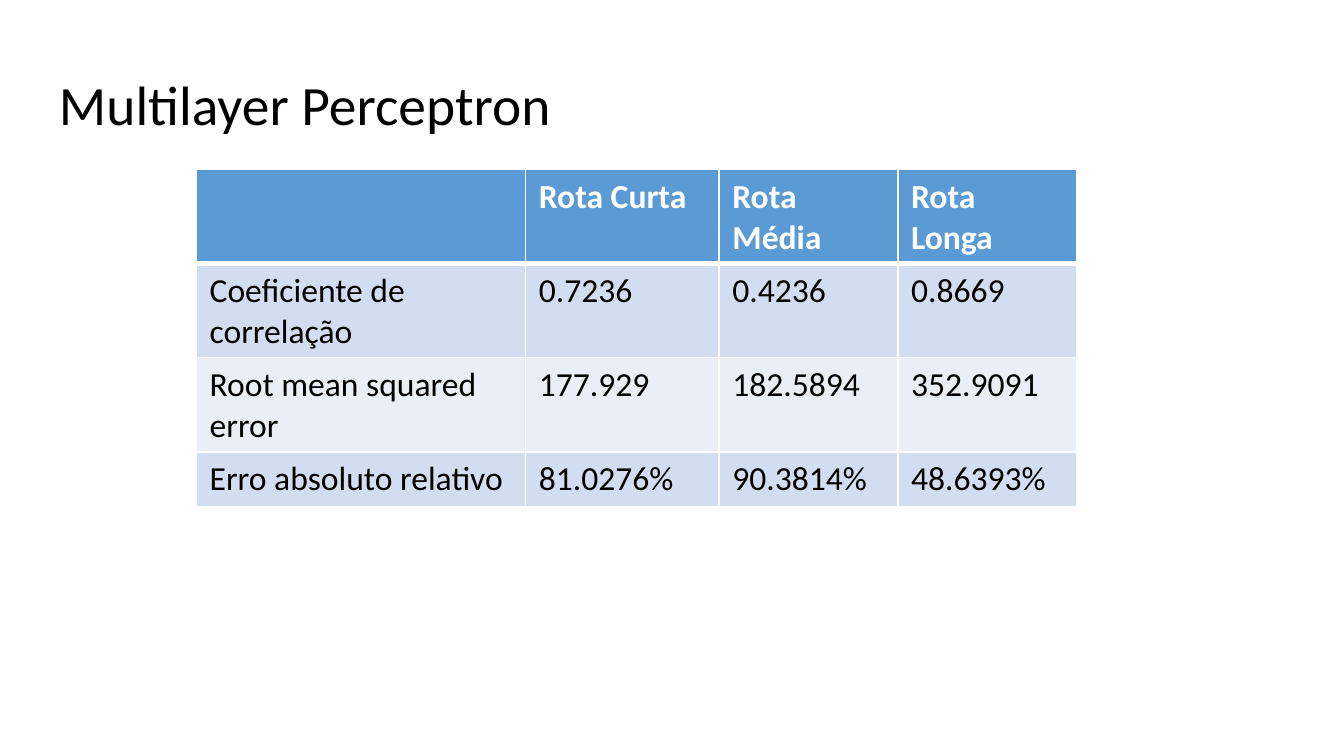
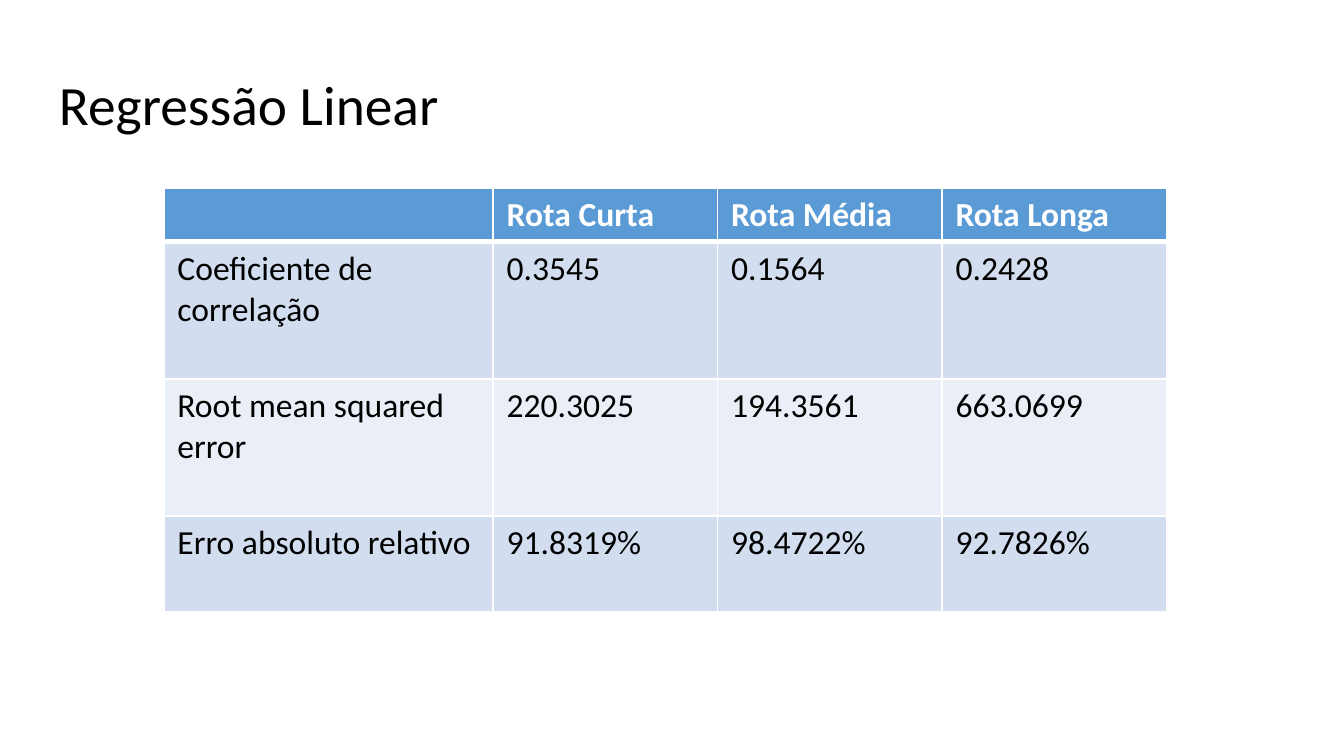
from lxml.etree import SubElement
from pptx import Presentation
from pptx.dml.color import RGBColor as RGB
from pptx.enum.text import MSO_ANCHOR as Anchor
from pptx.oxml.ns import qn
from pptx.util import Inches, Pt

COLORS = {"text": "000000", "white": "FFFFFF", "header": "5B9BD5",
          "odd": "D2DEEF", "even": "EAEFF7"}
TITLE_FONT = {"name": "Calibri", "size": Pt(29.7)}
HEAD_FONT = {"name": "Calibri", "size": Pt(18), "bold": True}
BODY_FONT = {**HEAD_FONT, "bold": False}
TITLE_BOX = (0.34, 0.49, 9.32, 0.63)

HEADERS = ["", "Rota Curta", "Rota Média", "Rota Longa"]
METRICS = ["Coeficiente de correlação", "Root mean squared error",
           "Erro absoluto relativo"]
SLIDES = [
    {"title": "Multilayer Perceptron", "origin": (1.46, 1.26),
     "cols": [2.45, 1.44, 1.33, 1.33], "rows": [0.41] * 4,
     "values": [["0.7236", "0.4236", "0.8669"],
                ["177.929", "182.5894", "352.9091"],
                ["81.0276%", "90.3814%", "48.6393%"]]},
    {"title": "Regressão Linear", "origin": (1.22, 1.4),
     "cols": [2.45, 1.67, 1.67, 1.67], "rows": [0.4, 1.02, 1.02, 0.71],
     "values": [["0.3545", "0.1564", "0.2428"],
                ["220.3025", "194.3561", "663.0699"],
                ["91.8319%", "98.4722%", "92.7826%"]]},
]


def add_run(p, text, font, color):
    r = p.add_run()
    r.text = text
    for name, value in font.items():
        setattr(r.font, name, value)
    r.font.color.rgb = RGB.from_string(COLORS[color])


def add_title(s, box, text):
    tf = s.shapes.add_textbox(*map(Inches, box)).text_frame
    style = {"word_wrap": True, "vertical_anchor": Anchor.BOTTOM}
    style.update({f"margin_{side}": Inches(0.1)
                  for side in ("left", "top", "right", "bottom")})
    for name, value in style.items():
        setattr(tf, name, value)
    p = tf.paragraphs[0]
    p.line_spacing = 0.9
    add_run(p, text, TITLE_FONT, "text")


def set_borders(cell, widths):
    tc_pr = cell._tc.get_or_add_tcPr()
    for side, width in widths.items():
        ln = SubElement(tc_pr, qn(f"a:ln{side}"), w=str(Pt(width)))
        fill = SubElement(ln, qn("a:solidFill"))
        SubElement(fill, qn("a:srgbClr"), val=COLORS["white"])


def add_results(s, origin, cols, rows, values):
    box = (*origin, sum(cols), sum(rows))
    table = s.shapes.add_table(len(rows), len(cols), *map(Inches, box)).table
    for column, width in zip(table.columns, cols):
        column.width = Inches(width)
    for row, height in zip(table.rows, rows):
        row.height = Inches(height)

    content = [HEADERS] + [[m, *v] for m, v in zip(METRICS, values)]
    for i, texts in enumerate(content):
        fill = "header" if i == 0 else "odd" if i % 2 else "even"
        font, color = (BODY_FONT, "text") if i else (HEAD_FONT, "white")
        # The rule under the header is thicker than the other borders
        borders = {"L": 1, "R": 1, "T": 3 if i == 1 else 1,
                   "B": 3 if i == 0 else 1}
        for j, text in enumerate(texts):
            cell = table.cell(i, j)
            set_borders(cell, borders)
            cell.fill.solid()
            cell.fill.fore_color.rgb = RGB.from_string(COLORS[fill])
            if text:
                add_run(cell.text_frame.paragraphs[0], text, font, color)


def add_results_slide(prs, title, **results):
    s = prs.slides.add_slide(prs.slide_layouts[6])
    add_title(s, TITLE_BOX, title)
    add_results(s, **results)


def main():
    prs = Presentation()
    # Widescreen, 16:9
    prs.slide_width = Inches(10)
    prs.slide_height = prs.slide_width * 9 // 16
    for content in SLIDES:
        add_results_slide(prs, **content)
    prs.save("out.pptx")


if __name__ == "__main__":
    main()
